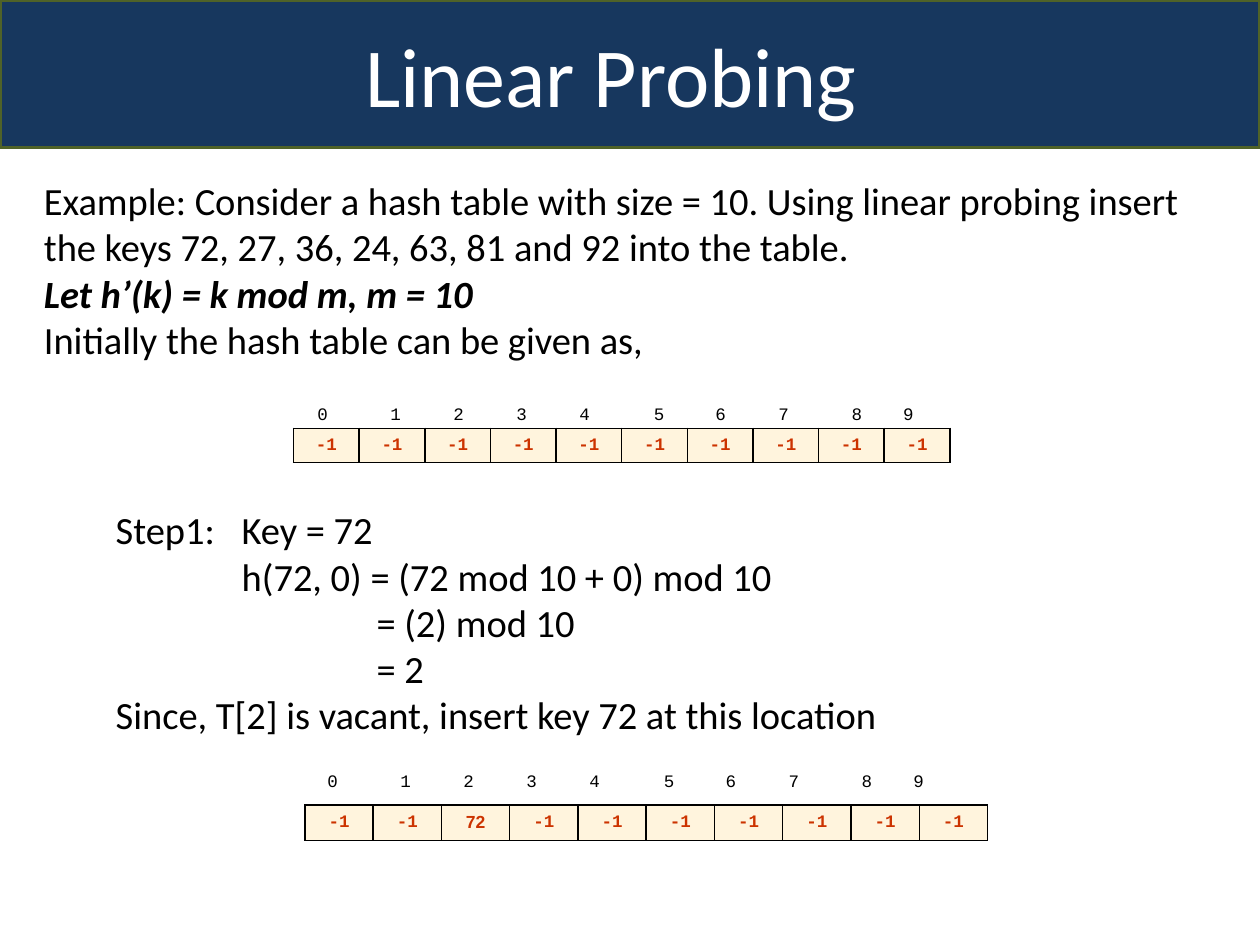
from lxml.etree import SubElement
from pptx import Presentation
from pptx.dml.color import RGBColor
from pptx.enum.shapes import MSO_SHAPE
from pptx.enum.text import MSO_ANCHOR, MSO_AUTO_SIZE, PP_ALIGN
from pptx.oxml.ns import qn
from pptx.util import Emu, Inches, Pt

NAVY, OLIVE, CREAM, RUST = "17375E", "4F6228", "FFF4DD", "CC3300"
BLACK, WHITE = "000000", "FFFFFF"
BODY, MONO = "Calibri", "Courier New"
COLS, ROWS = 100, 75

INDEX_TABS = [0.58, 1.08, 1.58, 2.08, 2.67, 3.16, 3.66, 4.24, 4.65]
INDEXES = "\t".join(str(i) for i in range(10))


def color(hex_text):
    return RGBColor.from_string(hex_text)


class Deck:
    """Holds the current slide and places elements on a 100 x 75 grid."""

    def __init__(self, prs):
        self.slide = prs.slides.add_slide(prs.slide_layouts[6])
        self.col = prs.slide_width / COLS
        self.row = prs.slide_height / ROWS

    def box(self, x, y, w, h):
        return (Emu(round(x * self.col)), Emu(round(y * self.row)),
                Emu(round(w * self.col)), Emu(round(h * self.row)))

    def style(self, p, size, font=BODY, fill=BLACK, bold=False, italic=False):
        for r in p.runs:
            r.font.size, r.font.name = Pt(size), font
            r.font.bold, r.font.italic = bold, italic
            r.font.color.rgb = color(fill)

    def tabs(self, p, stops):
        tab_list = SubElement(p._p.get_or_add_pPr(), qn("a:tabLst"))
        for stop in stops:
            SubElement(tab_list, qn("a:tab"), pos=str(Inches(stop)), algn="l")

    def banner(self, text, *place):
        sp = self.slide.shapes.add_shape(MSO_SHAPE.ROUNDED_RECTANGLE, *self.box(*place))
        sp.adjustments[0] = 0
        sp.shadow.inherit = False
        sp.fill.solid()
        sp.fill.fore_color.rgb = color(NAVY)
        sp.line.color.rgb = color(OLIVE)
        sp.line.width = Pt(2)
        tf = sp.text_frame
        tf.text = text
        tf.vertical_anchor = MSO_ANCHOR.MIDDLE
        tf.margin_right = Inches(0.4)  # sets the title a little left of centre
        tf.paragraphs[0].alignment = PP_ALIGN.CENTER
        self.style(tf.paragraphs[0], 48, fill=WHITE)

    def text(self, lines, *place, size=22, font=BODY, stops=(), strong=(), wrap=True):
        tf = self.slide.shapes.add_textbox(*self.box(*place)).text_frame
        tf.text = "\n".join(lines)
        tf.word_wrap = wrap
        tf.auto_size = MSO_AUTO_SIZE.SHAPE_TO_FIT_TEXT
        tf.vertical_anchor = MSO_ANCHOR.MIDDLE
        for i, p in enumerate(tf.paragraphs):
            if stops:
                self.tabs(p, stops)
            self.style(p, size, font, bold=i in strong, italic=i in strong)

    def indexes(self, *place):
        self.text([INDEXES], *place, size=10, font=MONO, stops=INDEX_TABS)

    def borders(self, cell):
        tc_pr = cell._tc.get_or_add_tcPr()
        for side in ("lnL", "lnR", "lnT", "lnB"):
            ln = SubElement(tc_pr, qn(f"a:{side}"), w=str(Pt(1)))
            fill = SubElement(ln, qn("a:solidFill"))
            SubElement(fill, qn("a:srgbClr"), val=BLACK)

    def hash_table(self, slots, *place):
        frame = self.slide.shapes.add_table(1, len(slots), *self.box(*place))
        table = frame.table
        table.first_row = table.horz_banding = False
        for cell, value in zip(table.rows[0].cells, slots):
            self.borders(cell)
            cell.fill.solid()
            cell.fill.fore_color.rgb = color(CREAM)
            cell.vertical_anchor = MSO_ANCHOR.MIDDLE
            cell.text = value
            p = cell.text_frame.paragraphs[0]
            p.alignment = PP_ALIGN.CENTER
            self.style(p, 10, MONO if value == "-1" else "Arial", RUST, bold=True)


def main():
    prs = Presentation()
    prs.slide_width, prs.slide_height = Inches(10), Inches(7.5)
    deck = Deck(prs)

    # Title and problem statement
    deck.banner("Linear Probing", 0, 0, 100, 11.7)
    deck.text([
        "Example: Consider a hash table with size = 10. Using linear probing "
        "insert the keys 72, 27, 36, 24, 63, 81 and 92 into the table.",
        "Let h’(k) = k mod m, m = 10",
        "Initially the hash table can be given as,",
    ], 2.5, 13.5, 95.8, 15.8, strong={1})

    # Empty hash table
    slots = ["-1"] * 10
    deck.indexes(24.2, 31.5, 54.2, 2.7)
    deck.hash_table(slots, 23.3, 34, 52.1, 2.7)

    # First insertion
    deck.text([
        "Step1:\tKey = 72",
        "\th(72, 0) = (72 mod 10 + 0) mod 10",
        "\t\t= (2) mod 10",
        "\t\t= 2",
        "Since, T[2] is vacant, insert key 72 at this location",
    ], 8.2, 39.6, 63.1, 19.5, stops=[1, 2.07], wrap=False)

    # Hash table after the insertion
    slots[72 % 10] = "72"
    deck.hash_table(slots, 24.2, 63.9, 54.2, 2.8)
    deck.indexes(25, 60.6, 54.2, 2.7)

    prs.save("out.pptx")


if __name__ == "__main__":
    main()
